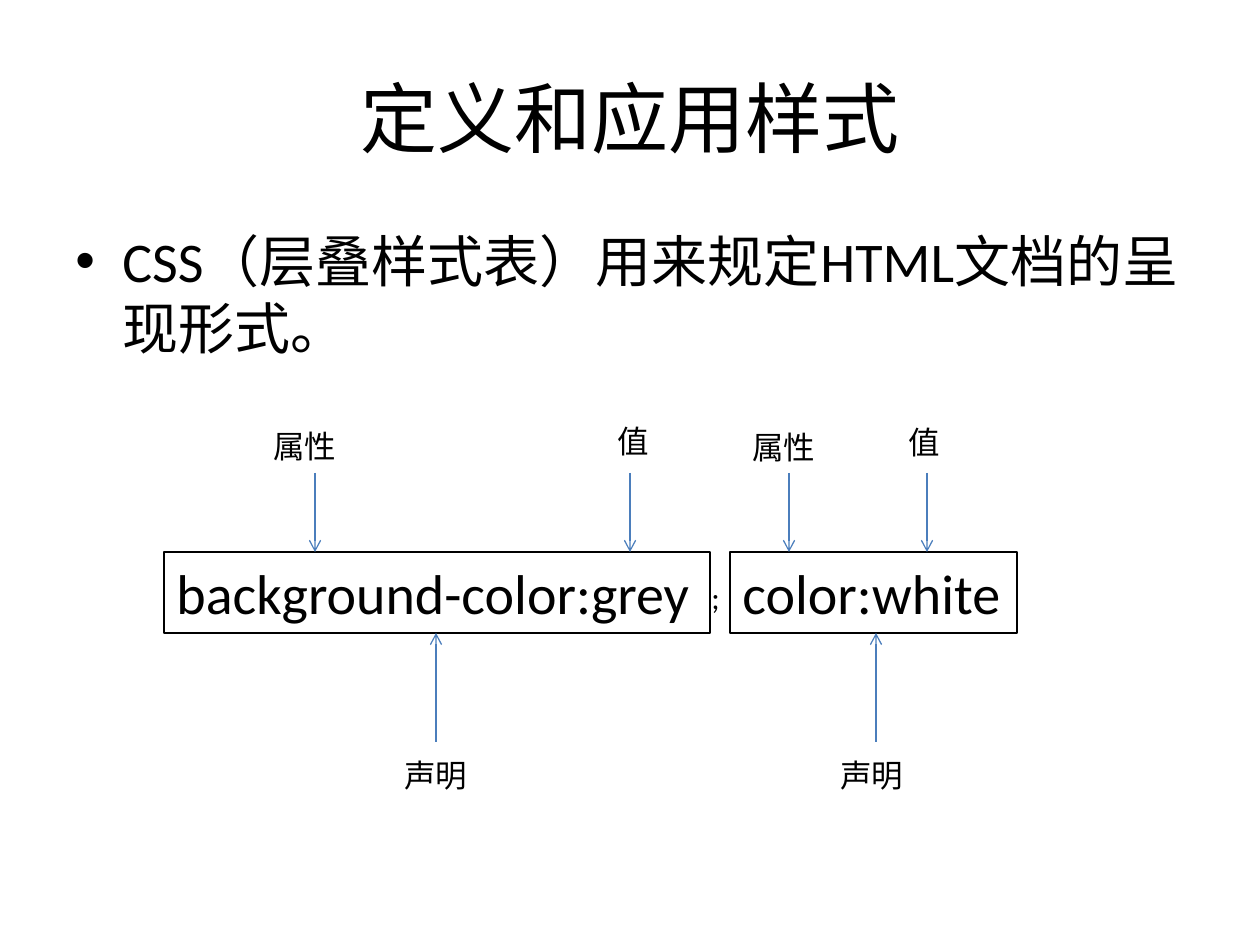
from typing import NamedTuple

from lxml import etree
from pptx import Presentation
from pptx import util as u
from pptx.dml.color import RGBColor
from pptx.enum import shapes, text
from pptx.oxml.ns import qn

SCALE = 914400 / 126
COLORS = {"ink": "000000", "arrow": "4B7EBC"}
FONT = "Calibri"
ARROW_TOP, BOX_TOP, BOX_BOTTOM, ARROW_BOTTOM = 473, 552, 633, 742
BOX_HEIGHT = BOX_BOTTOM - BOX_TOP


class Block(NamedTuple):
    words: str
    left: int
    top: int
    width: int
    height: int
    size: int = 18
    framed: bool = False


class Arrow(NamedTuple):
    x: int
    start: int
    end: int


TITLE = Block("定义和应用样式", 63, 38, 1134, 157, 44)
SUMMARY = Block("CSS（层叠样式表）用来规定HTML文档的呈现形式。", 63, 220, 1134, 624, 32)
DECLARATIONS = [
    Block("background-color:grey", 164, BOX_TOP, 546, BOX_HEIGHT, 32, True),
    Block(";", 699, 572, 30, 50),
    Block("color:white", 730, BOX_TOP, 287, BOX_HEIGHT, 32, True),
]
LABELS = [
    Block("属性", 261, 421, 110, 50),
    Block("属性", 740, 422, 110, 50),
    Block("值", 605, 416, 64, 50),
    Block("值", 896, 417, 64, 50),
    Block("声明", 392, 750, 110, 50),
    Block("声明", 828, 750, 110, 50),
]
ARROWS = [Arrow(x, ARROW_TOP, BOX_TOP) for x in (315, 630, 789, 927)] + [
    Arrow(x, ARROW_BOTTOM, BOX_BOTTOM) for x in (436, 876)
]


def px(length: int) -> u.Emu:
    """Turn pixels into EMU."""
    return u.Emu(round(length * SCALE))


def color(name: str) -> RGBColor:
    """Look up a named colour."""
    return RGBColor.from_string(COLORS[name])


def draw_block(slide, block: Block):
    """Draw a text block, framed or bare, and return its text frame."""
    place = [px(length) for length in block[1:5]]
    if block.framed:
        box = slide.shapes.add_shape(shapes.MSO_SHAPE.RECTANGLE, *place)
        box.shadow.inherit = False
        box.fill.background()
        box.line.color.rgb = color("ink")
        box.line.width = u.Pt(0.75)
    else:
        box = slide.shapes.add_textbox(*place)
    frame = box.text_frame
    frame.word_wrap = True
    frame.vertical_anchor = text.MSO_ANCHOR.TOP
    frame.text = block.words
    words = frame.paragraphs[0]
    words.alignment = text.PP_ALIGN.LEFT
    words.font.name = FONT
    words.font.size = u.Pt(block.size)
    words.font.color.rgb = color("ink")
    return frame


def add_bullet(paragraph) -> None:
    """Give a paragraph a round bullet with a hanging indent."""
    properties = paragraph._p.get_or_add_pPr()
    properties.set("marL", str(px(47)))
    properties.set("indent", str(-px(47)))
    paragraph.space_before = u.Pt(6.4)
    etree.SubElement(properties, qn("a:buFont")).set("typeface", "Arial")
    etree.SubElement(properties, qn("a:buChar")).set("char", "•")
    defaults = properties.find(qn("a:defRPr"))
    if defaults is not None:
        properties.append(defaults)


def draw_arrow(slide, arrow: Arrow) -> None:
    """Draw a vertical arrow with an open head at its end."""
    link = slide.shapes.add_connector(
        shapes.MSO_CONNECTOR.STRAIGHT,
        px(arrow.x), px(arrow.start), px(arrow.x), px(arrow.end),
    )
    link.line.color.rgb = color("arrow")
    link.line.width = u.Pt(0.75)
    etree.SubElement(link.line._get_or_add_ln(), qn("a:tailEnd")).set("type", "arrow")
    etree.SubElement(link._element.spPr, qn("a:effectLst"))


def main() -> None:
    """Build the slide and save it."""
    deck = Presentation()
    deck.slide_width, deck.slide_height = px(1260), px(945)
    slide = deck.slides.add_slide(deck.slide_layouts[6])

    heading = draw_block(slide, TITLE)
    heading.vertical_anchor = text.MSO_ANCHOR.MIDDLE
    heading.paragraphs[0].alignment = text.PP_ALIGN.CENTER
    add_bullet(draw_block(slide, SUMMARY).paragraphs[0])

    for block in DECLARATIONS + LABELS:
        draw_block(slide, block)
    for arrow in ARROWS:
        draw_arrow(slide, arrow)
    deck.save("out.pptx")


main()
